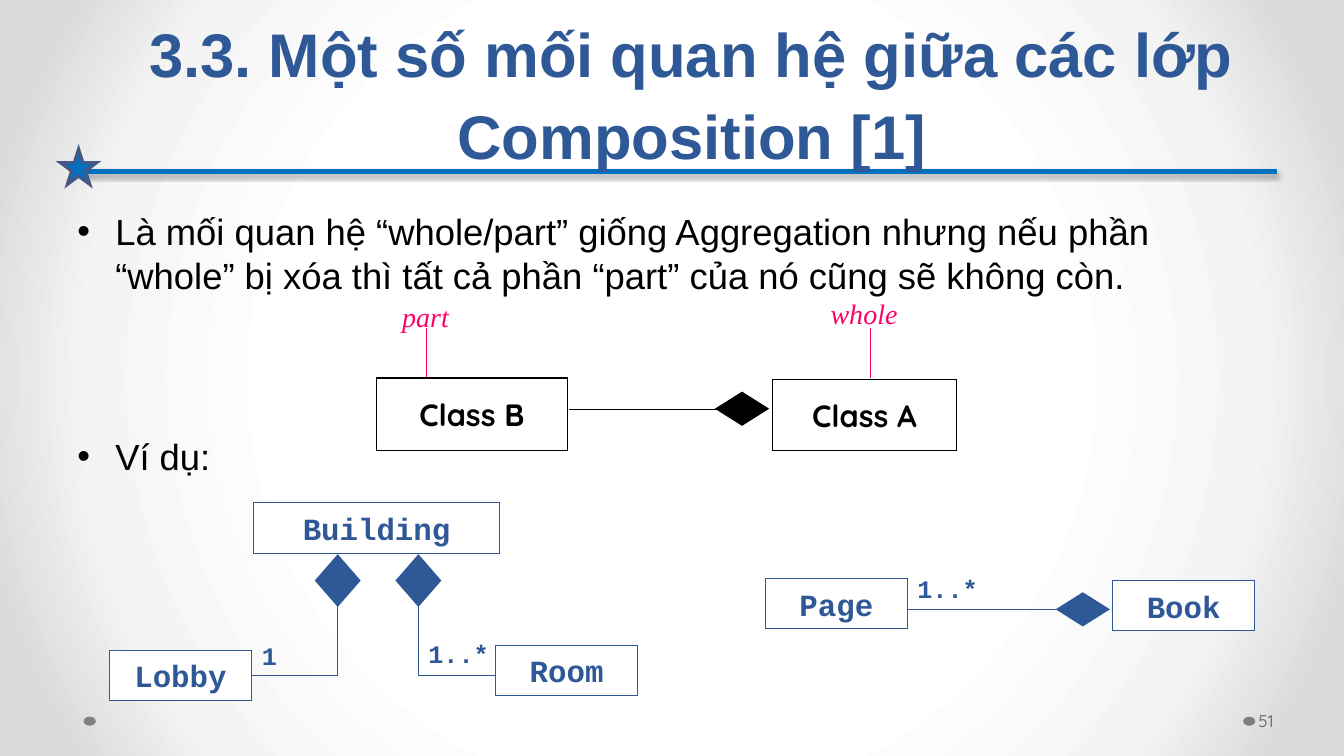
import pptx
import pptx.dml.color
import pptx.enum.dml
import pptx.enum.shapes
import pptx.enum.text
import pptx.oxml
import pptx.oxml.ns
import pptx.util
import lxml.etree

Kind = pptx.enum.shapes.MSO_SHAPE
Align = pptx.enum.text.PP_ALIGN
Anchor = pptx.enum.text.MSO_ANCHOR
Pt = pptx.util.Pt
rgb = pptx.dml.color.RGBColor.from_string
tag = pptx.oxml.ns.qn

theme = dict(
    navy="2F5897", blue="0070C0", edge="475785", pink="FF0066", black="000000",
    white="FFFFFF", dot="808080", gray="595959",
    back=[(50, "FFFFFF"), (76, "F4F4F4"), (92, "DADADA")],
    sans="Arial", serif="Times New Roman", code="Courier New", round="Quicksand",
    title=44, body=26, name=22, role=20, count=18, page=12,
    thin=0.75, thick=3,
)

# The grid has square cells, a tenth of an inch wide.
cell = pptx.util.Inches(0.1)

deck = pptx.Presentation()
deck.slide_width = pptx.util.Inches(13.33)
deck.slide_height = pptx.util.Inches(7.5)
slide = deck.slides.add_slide(deck.slide_layouts[6])
shapes = slide.shapes


def write(shape, text, size, font, color, bold=False, italic=False, align=Align.LEFT,
          anchor=Anchor.TOP, wrap=False, space=0, pitch=None, bullet=False):
    """Fill a shape with text; each item of a list is one paragraph."""
    frame = shape.text_frame
    frame.word_wrap = wrap
    frame.vertical_anchor = anchor
    for i, words in enumerate(text if isinstance(text, list) else [text]):
        par = frame.add_paragraph() if i else frame.paragraphs[0]
        par.text = words
        par.alignment = align
        par.space_before = Pt(space if i else 0)
        if pitch:
            par.line_spacing = Pt(pitch)
        for run in par.runs:
            run.font.size, run.font.name = Pt(size), font
            run.font.bold, run.font.italic = bold, italic
            run.font.color.rgb = rgb(color)
        if bullet:
            props = par._p.get_or_add_pPr()
            props.set("marL", str(int(3.75 * cell)))
            props.set("indent", str(int(-3.75 * cell)))
            lxml.etree.SubElement(props, tag("a:buFont")).set("typeface", theme["sans"])
            lxml.etree.SubElement(props, tag("a:buChar")).set("char", "•")


def link(x1, y1, x2, y2, color, width=theme["thin"]):
    """Draw a straight line and return its empty effect list."""
    line = shapes.add_connector(pptx.enum.shapes.MSO_CONNECTOR.STRAIGHT,
                                *(int(n * cell) for n in (x1, y1, x2, y2)))
    line.line.color.rgb = rgb(color)
    line.line.width = Pt(width)
    return lxml.etree.SubElement(line._element.spPr, tag("a:effectLst"))


# Background
slide.background.fill.gradient()
grad = next(slide.element.iter(tag("a:gradFill")))
for child in list(grad):
    grad.remove(child)
stops = lxml.etree.SubElement(grad, tag("a:gsLst"))
for share, color in theme["back"]:
    stop = lxml.etree.SubElement(stops, tag("a:gs"), pos=str(share * 1000))
    lxml.etree.SubElement(stop, tag("a:srgbClr"), val=color)
ring = lxml.etree.SubElement(grad, tag("a:path"), path="circle")
lxml.etree.SubElement(ring, tag("a:fillToRect"), l="50000", t="50000", r="50000", b="50000")

# Header rule with its soft shadow
glow = link(8.4, 17, 126.7, 17, theme["blue"], 4)
shade = lxml.etree.SubElement(glow, tag("a:outerShdw"), blurRad=str(Pt(3.1)),
                              dist=str(Pt(1.8)), dir="5400000", rotWithShape="0")
tint = lxml.etree.SubElement(shade, tag("a:srgbClr"), val=theme["black"])
lxml.etree.SubElement(tint, tag("a:alpha"), val="35000")

# Lines of the diagrams
navy, black, pink = theme["navy"], theme["black"], theme["pink"]
for ends in [
    (56.4, 40.6, 75.9, 40.6, black),
    (86.3, 32.5, 86.3, 37.5, pink),
    (42.3, 32.5, 42.3, 37.5, pink),
    (25, 67, 33.5, 67, navy),
    (33.5, 67, 33.5, 59.9, navy),
    (49.2, 67, 41.5, 67, navy),
    (41.5, 67, 41.5, 59.9, navy),
    (90.1, 60.5, 109.7, 60.5, navy),
]:
    link(*ends)

# Shapes: kind, left, top, width, height, fill, line, line width, name
thin, thick, white = theme["thin"], theme["thick"], theme["white"]
flat, tall = (4.6, 2.9), (4, 4.6)
small = (14.1, 5)
dot = (1.2, 0.9, theme["dot"], None, 0, "")
for kind, x, y, w, h, fill, edge, width, name in [
    (Kind.OVAL, 123.3, 71.1, *dot),
    (Kind.OVAL, 8.3, 71.1, *dot),
    (Kind.STAR_5_POINT, 6, 14.8, 3.6, 3.5, theme["blue"], theme["edge"], 2.25, ""),
    (Kind.RECTANGLE, 76.6, 37.7, 18.3, 7, white, black, thin, "Class A"),
    (Kind.RECTANGLE, 37.35, 37.5, 18.9, 7.2, white, black, thin, "Class B"),
    (Kind.DIAMOND, 71.3, 39.1, *flat, black, black, thick, ""),
    (Kind.RECTANGLE, 25.15, 49.9, 24.4, 5, white, navy, thin, "Building"),
    (Kind.RECTANGLE, 10.85, 64.5, *small, white, navy, thin, "Lobby"),
    (Kind.RECTANGLE, 49.15, 64, *small, white, navy, thin, "Room"),
    (Kind.RECTANGLE, 110.35, 57.6, *small, white, navy, thin, "Book"),
    (Kind.RECTANGLE, 75.9, 57.4, *small, white, navy, thin, "Page"),
    (Kind.DIAMOND, 31.5, 55.3, *tall, navy, navy, thick, ""),
    (Kind.DIAMOND, 39.5, 55.3, *tall, navy, navy, thick, ""),
    (Kind.DIAMOND, 105.1, 59, *flat, navy, navy, thick, ""),
]:
    shape = shapes.add_shape(kind, *(int(n * cell) for n in (x, y, w, h)))
    shape.shadow.inherit = False
    shape.fill.solid()
    shape.fill.fore_color.rgb = rgb(fill)
    if edge:
        shape.line.color.rgb = rgb(edge)
        shape.line.width = Pt(width)
        # Sharp corners
        lxml.etree.SubElement(shape._element.spPr.find(tag("a:ln")), tag("a:miter"), lim="800000")
    else:
        shape.line.fill.background()
    if name:
        write(shape, name, theme["name"], theme["round" if edge == black else "code"], edge,
              bold=True, align=Align.CENTER, anchor=Anchor.MIDDLE)

# Text boxes: left, top, width, height, text, format
head = dict(size=theme["title"], font=theme["sans"], color=navy, bold=True,
            align=Align.CENTER, anchor=Anchor.BOTTOM, wrap=True, pitch=58)
body = dict(size=theme["body"], font=theme["sans"], color=black, wrap=True,
            space=98, bullet=True)
role = dict(size=theme["role"], font=theme["serif"], color=pink, italic=True,
            align=Align.CENTER)
count = dict(size=theme["count"], font=theme["code"], color=navy, bold=True)
page = dict(size=theme["page"], font=theme["round"], color=theme["gray"],
            anchor=Anchor.MIDDLE, wrap=True)
points = [
    "Là mối quan hệ “whole/part” giống Aggregation nhưng nếu phần “whole” bị xóa thì "
    "tất cả phần “part” của nó cũng sẽ không còn.",
    "Ví dụ:",
]
for x, y, w, h, text, style in [
    (10.8, 1.9, 115.7, 15.6, "3.3. Một số mối quan hệ giữa các lớp\vComposition [1]", head),
    (6.7, 20.3, 120, 50.6, points, body),
    (37.7, 29.2, 9, 4.3, "part", role),
    (80.2, 28.9, 11, 4.3, "whole", role),
    (25, 63, 3.6, 4, "1", count),
    (41.5, 62.8, 8.2, 4, "1..*", count),
    (90, 56.4, 8.2, 4, "1..*", count),
    (123.85, 69.5, 8.2, 4, "51", page),
]:
    area = shapes.add_textbox(*(int(n * cell) for n in (x, y, w, h)))
    write(area, text, **style)

deck.save("out.pptx")
